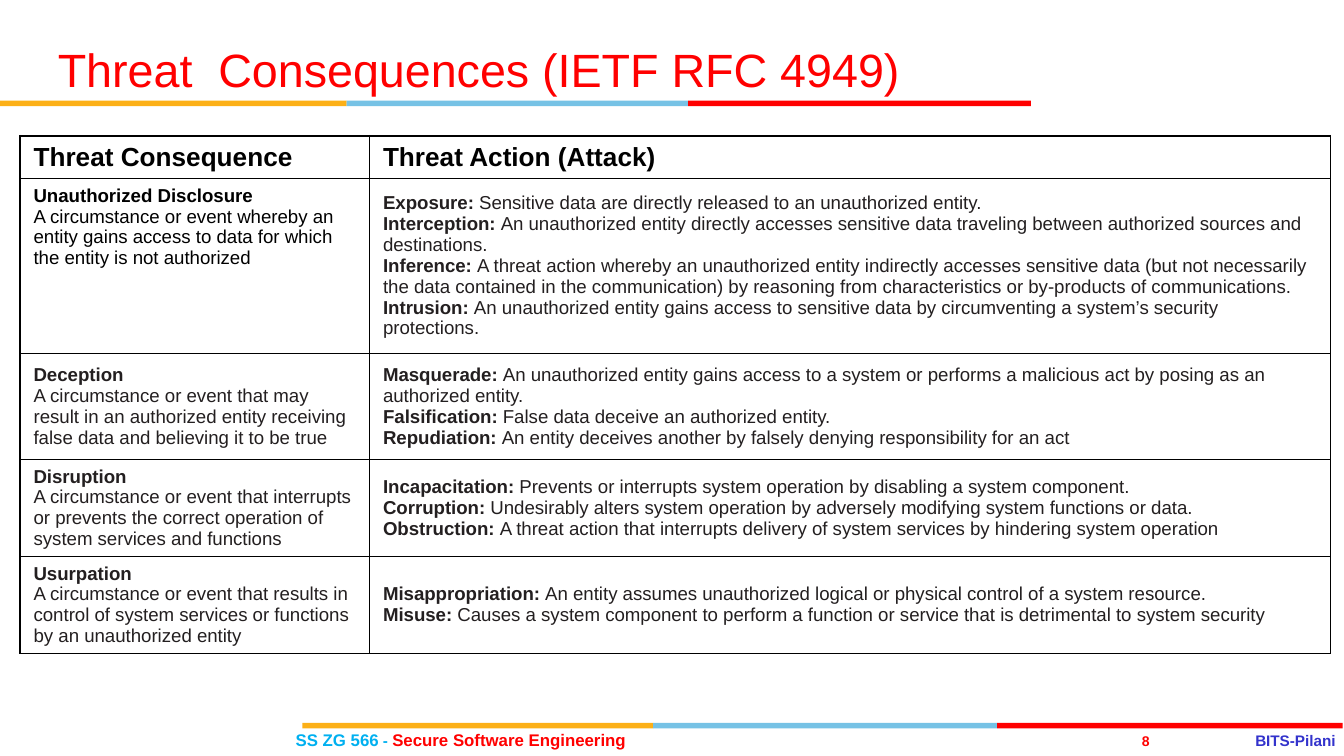
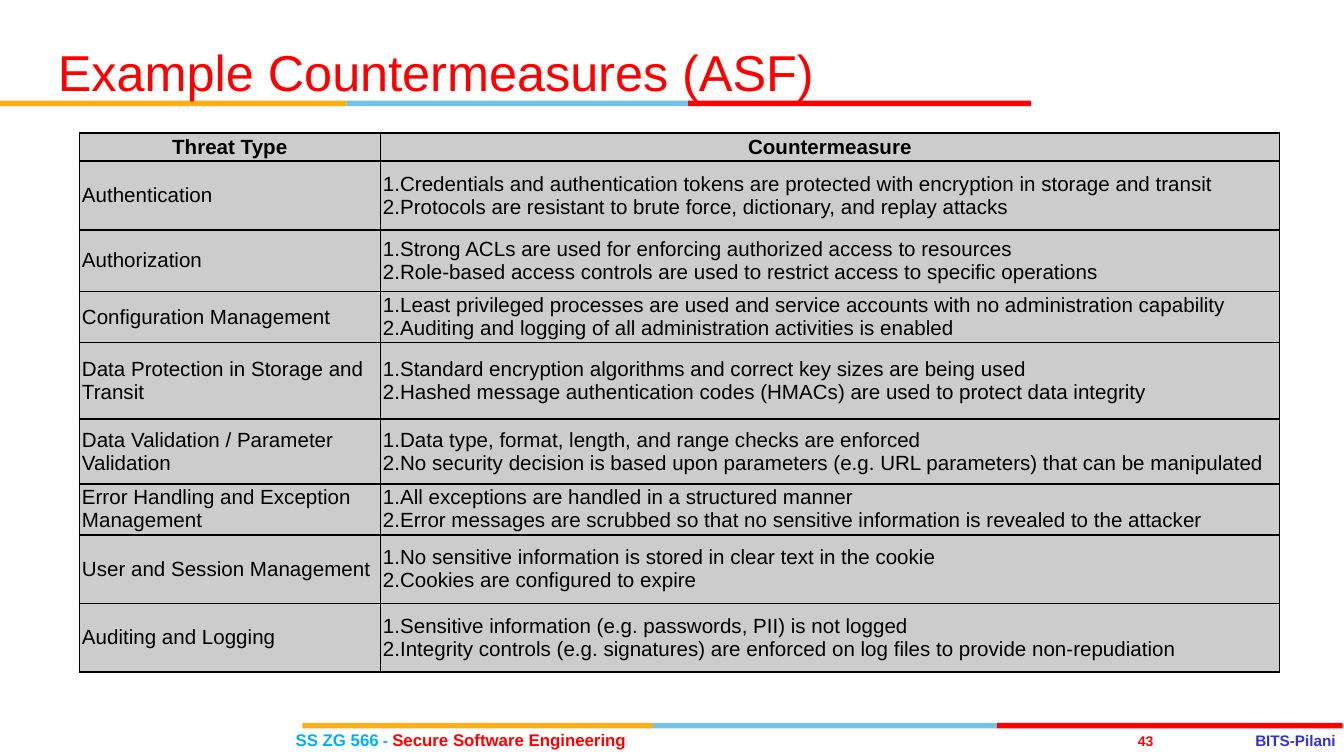
from lxml import etree
from pptx import Presentation
from pptx.dml.color import RGBColor
from pptx.enum.shapes import MSO_SHAPE
from pptx.enum.text import MSO_ANCHOR, MSO_AUTO_SIZE, PP_ALIGN
from pptx.oxml.ns import qn
from pptx.util import Inches, Pt

RECTANGLE = MSO_SHAPE.RECTANGLE
TOP, MIDDLE = MSO_ANCHOR.TOP, MSO_ANCHOR.MIDDLE
NO_AUTOFIT = MSO_AUTO_SIZE.NONE
LEFT, CENTER, JUSTIFY = PP_ALIGN.LEFT, PP_ALIGN.CENTER, PP_ALIGN.JUSTIFY

FONT = "Arial"
COLORS = {
    "amber": "FCB017", "sky": "76C2E5", "red": "FF0000",
    "cyan": "00B0F0", "blue": "3333CC",
    "black": "000000", "ink": "231F20", "white": "FFFFFF", "gray": "CCCCCC",
}
BAND_COLORS = ("amber", "sky", "red")
TITLE_LEFT, TITLE_BOTTOM, TITLE_WIDTH = 0.33, 0.86, 6.92
BAND_HEIGHT = 0.04

# Consequence, its description, and the actions that lead to it
THREATS = [
    ("Unauthorized Disclosure",
     "A circumstance or event whereby an entity gains access to data for which "
     "the entity is not authorized",
     [("Exposure: ", "Sensitive data are directly released to an unauthorized entity."),
      ("Interception: ", "An unauthorized entity directly accesses sensitive data "
       "traveling between authorized sources and destinations."),
      ("Inference: ", "A threat action whereby an unauthorized entity indirectly "
       "accesses sensitive data (but not necessarily the data contained in the "
       "communication) by reasoning from characteristics or by-products of communications."),
      ("Intrusion: ", "An unauthorized entity gains access to sensitive data by "
       "circumventing a system’s security protections.")]),
    ("Deception",
     "A circumstance or event that may result in an authorized entity receiving "
     "false data and believing it to be true",
     [("Masquerade: ", "An unauthorized entity gains access to a system or performs "
       "a malicious act by posing as an authorized entity."),
      ("Falsification: ", "False data deceive an authorized entity."),
      ("Repudiation: ", "An entity deceives another by falsely denying responsibility "
       "for an act")]),
    ("Disruption",
     "A circumstance or event that interrupts or prevents the correct operation of "
     "system services and functions",
     [("Incapacitation: ", "Prevents or interrupts system operation by disabling a "
       "system component."),
      ("Corruption: ", "Undesirably alters system operation by adversely modifying "
       "system functions or data."),
      ("Obstruction: ", "A threat action that interrupts delivery of system services "
       "by hindering system operation")]),
    ("Usurpation",
     "A circumstance or event that results in control of system services or "
     "functions by an unauthorized entity",
     [("Misappropriation: ", "An entity assumes unauthorized logical or physical "
       "control of a system resource."),
      ("Misuse: ", "Causes a system component to perform a function or service that "
       "is detrimental to system security")]),
]

COUNTERMEASURES = [
    ("Authentication",
     ["Credentials and authentication tokens are protected with encryption in "
      "storage and transit",
      "Protocols are resistant to brute force, dictionary, and replay attacks"]),
    ("Authorization",
     ["Strong ACLs are used for enforcing authorized access to resources",
      "Role-based access controls are used to restrict access to specific operations"]),
    ("Configuration Management",
     ["Least privileged processes are used and service accounts with no "
      "administration capability",
      "Auditing and logging of all administration activities is enabled"]),
    ("Data Protection in Storage and Transit",
     ["Standard encryption algorithms and correct key sizes are being used",
      "Hashed message authentication codes (HMACs) are used to protect data integrity"]),
    ("Data Validation / Parameter Validation",
     ["Data type, format, length, and range checks are enforced",
      "No security decision is based upon parameters (e.g. URL parameters) that "
      "can be manipulated"]),
    ("Error Handling and Exception Management",
     ["All exceptions are handled in a structured manner",
      "Error messages are scrubbed so that no sensitive information is revealed "
      "to the attacker"]),
    ("User and Session Management",
     ["No sensitive information is stored in clear text in the cookie",
      "Cookies are configured to expire"]),
    ("Auditing and Logging",
     ["Sensitive information (e.g. passwords, PII) is not logged",
      "Integrity controls (e.g. signatures) are enforced on log files to provide "
      "non-repudiation"]),
]


def color(name):
    return RGBColor.from_string(COLORS[name])


def add_run(paragraph, text, size, color_name, bold=False):
    run = paragraph.add_run()
    run.text = text
    run.font.name = FONT
    run.font.size = Pt(size)
    run.font.bold = bold
    run.font.color.rgb = color(color_name)


def set_margins(target, margin):
    target.margin_left = target.margin_right = Inches(margin)
    target.margin_top = target.margin_bottom = Inches(margin)


# Shared parts of every slide

def add_band(slide, left, top, widths):
    group = slide.shapes.add_group_shape()
    for name, width in zip(BAND_COLORS, widths):
        bar = group.shapes.add_shape(RECTANGLE, Inches(left), Inches(top),
                                     Inches(width), Inches(BAND_HEIGHT))
        bar.shadow.inherit = False
        bar.fill.solid()
        bar.fill.fore_color.rgb = color(name)
        bar.line.fill.background()
        left += width


def add_footer_text(slide, box, runs, alignment):
    frame = slide.shapes.add_textbox(*map(Inches, box)).text_frame
    frame.word_wrap = True
    frame.vertical_anchor = MIDDLE
    set_margins(frame, 0)
    paragraph = frame.paragraphs[0]
    paragraph.alignment = alignment
    for text, size, name in runs:
        add_run(paragraph, text, size, name, bold=True)


def add_footer(slide, number):
    add_band(slide, 2.25, 5.38, (2.61, 2.56, 2.57))
    add_footer_text(slide, (2.2, 5.43, 2.76, 0.15),
                    [("SS ZG 566", 9, "cyan"), (" - ", 8.2, "cyan"),
                     ("Secure Software Engineering", 9, "red")], LEFT)
    add_footer_text(slide, (8.4, 5.45, 0.25, 0.13), [(number, 7.5, "red")], CENTER)
    add_footer_text(slide, (9.34, 5.44, 0.64, 0.14),
                    [("BITS-Pilani", 8.2, "blue")], JUSTIFY)


def add_title(slide, text, size, height):
    title = slide.shapes.title
    title.left, title.top = Inches(TITLE_LEFT), Inches(TITLE_BOTTOM - height)
    title.width, title.height = Inches(TITLE_WIDTH), Inches(height)
    frame = title.text_frame
    frame.word_wrap = True
    frame.auto_size = NO_AUTOFIT
    frame.vertical_anchor = MIDDLE
    paragraph = frame.paragraphs[0]
    paragraph.alignment = LEFT
    paragraph.line_spacing = Pt(27)
    add_run(paragraph, text, size, "red")
    # The title's descenders lie over the band
    slide.shapes.element.append(title.element)


def add_base_slide(presentation, title, title_size, title_height, number):
    slide = presentation.slides.add_slide(presentation.slide_layouts[5])
    slide.background.fill.solid()
    slide.background.fill.fore_color.rgb = color("white")
    add_band(slide, 0, 0.75, (2.58, 2.54, 2.55))
    add_footer(slide, number)
    add_title(slide, title, title_size, title_height)
    return slide


# Tables

def set_borders(cell):
    properties = cell._tc.get_or_add_tcPr()
    for index, side in enumerate(("lnL", "lnR", "lnT", "lnB")):
        line = etree.Element(qn(f"a:{side}"), w=str(Pt(1)))
        fill = etree.SubElement(line, qn("a:solidFill"))
        etree.SubElement(fill, qn("a:srgbClr"), val=COLORS["black"])
        properties.insert(index, line)


def add_grid(slide, box, widths, heights, fill):
    frame = slide.shapes.add_table(len(heights), len(widths), *map(Inches, box))
    table = frame.table
    table.first_row = table.horz_banding = False
    for column, width in zip(table.columns, widths):
        column.width = Inches(width)
    for row, height in zip(table.rows, heights):
        row.height = Inches(height)
    # Rows grow to fit their text, so the frame is taller than their sum
    frame.height = Inches(box[3])
    for cell in table.iter_cells():
        cell.fill.solid()
        cell.fill.fore_color.rgb = color(fill)
        set_borders(cell)
    return table


def next_paragraph(frame, index):
    return frame.add_paragraph() if index else frame.paragraphs[0]


def number_paragraph(paragraph):
    properties = paragraph._p.get_or_add_pPr()
    properties.set("marL", "0")
    properties.set("indent", "0")
    etree.SubElement(properties, qn("a:buAutoNum"), type="arabicPeriod")


def write_threat(cells, threat, is_first):
    name, description, actions = threat
    consequence, action_cell = cells
    consequence.vertical_anchor = TOP if is_first else MIDDLE
    action_cell.vertical_anchor = MIDDLE
    # The first consequence is black and set as two paragraphs
    ink = "black" if is_first else "ink"
    paragraph = consequence.text_frame.paragraphs[0]
    add_run(paragraph, name, 10, ink, bold=True)
    if is_first:
        paragraph = consequence.text_frame.add_paragraph()
    else:
        paragraph.add_line_break()
    add_run(paragraph, description, 10, ink)

    paragraph = action_cell.text_frame.paragraphs[0]
    for index, (action, meaning) in enumerate(actions):
        if index:
            paragraph.add_line_break()
        add_run(paragraph, action, 10, "ink", bold=True)
        add_run(paragraph, meaning, 10, "ink")


def add_threat_table(slide, box):
    table = add_grid(slide, box, (2.6, 7.15), (0.32, 1.3, 0.79, 0.65, 0.65), "white")
    for cell, heading in zip(table.rows[0].cells,
                             ("Threat Consequence", "Threat Action (Attack)")):
        add_run(cell.text_frame.paragraphs[0], heading, 14, "black", bold=True)
    for row, threat in enumerate(THREATS, 1):
        write_threat((table.cell(row, 0), table.cell(row, 1)), threat, row == 1)


def add_countermeasure_table(slide, box):
    table = add_grid(slide, box, (2.24, 6.69),
                     (0.12, 0.51, 0.46, 0.35, 0.57, 0.48, 0.3, 0.51, 0.51), "gray")
    for cell in table.iter_cells():
        cell.vertical_anchor = MIDDLE
        set_margins(cell, 0.02)
    for cell, heading in zip(table.rows[0].cells, ("Threat Type", "Countermeasure")):
        paragraph = cell.text_frame.paragraphs[0]
        paragraph.alignment = CENTER
        add_run(paragraph, heading, 11, "black", bold=True)
    for row, (threat_type, measures) in enumerate(COUNTERMEASURES, 1):
        add_run(table.cell(row, 0).text_frame.paragraphs[0], threat_type, 11, "black")
        frame = table.cell(row, 1).text_frame
        for index, measure in enumerate(measures):
            paragraph = next_paragraph(frame, index)
            number_paragraph(paragraph)
            add_run(paragraph, measure, 11, "black")


def main():
    presentation = Presentation()
    # Widescreen, 16:9
    presentation.slide_width = Inches(10)
    presentation.slide_height = Inches(10 * 9 / 16)

    slide = add_base_slide(presentation, "Threat  Consequences (IETF RFC 4949)",
                           25, 0.65, "8")
    add_threat_table(slide, (0.15, 1.01, 9.75, 3.96))

    slide = add_base_slide(presentation, "Example Countermeasures (ASF)",
                           27, 0.59, "43")
    add_countermeasure_table(slide, (0.59, 0.99, 8.93, 4.06))

    presentation.save("out.pptx")


if __name__ == "__main__":
    main()
